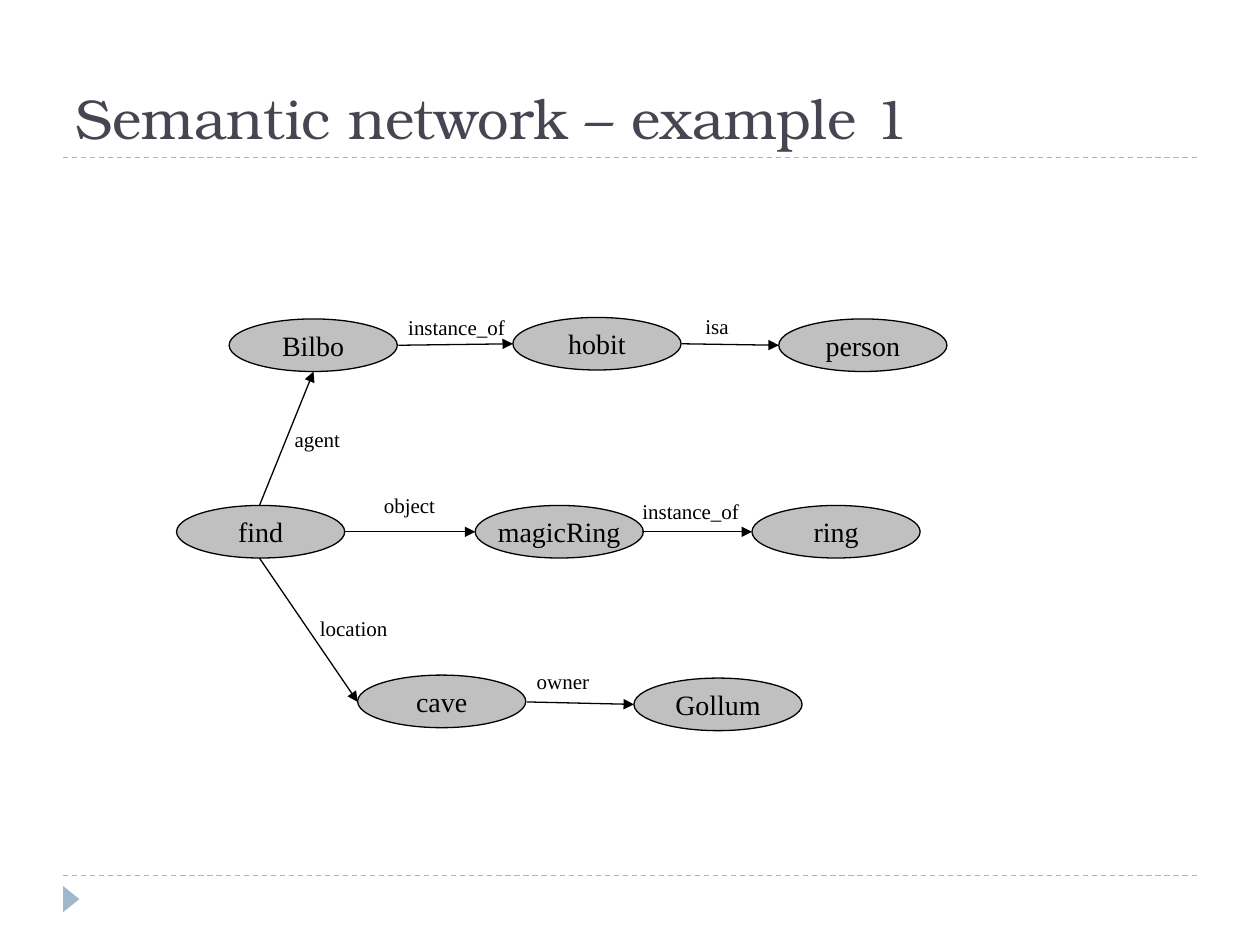
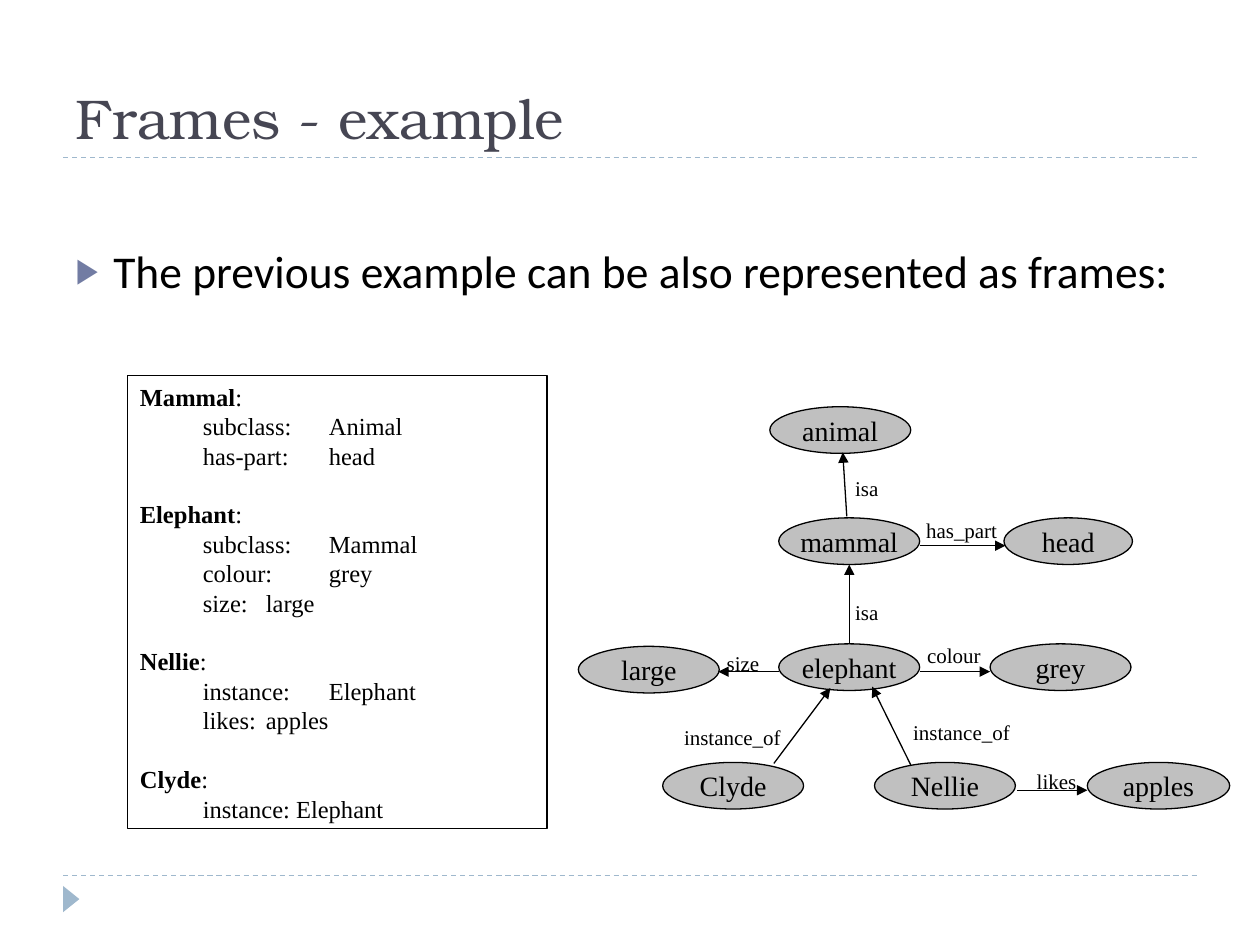
import pptx
import pptx.util
import pptx.dml.color
import pptx.enum.dml
import pptx.enum.shapes
import pptx.enum.text
import pptx.oxml.ns
import lxml.etree

Cm = pptx.util.Cm
Pt = pptx.util.Pt
RGBColor = pptx.dml.color.RGBColor
MSO_SHAPE = pptx.enum.shapes.MSO_SHAPE
MSO_ANCHOR = pptx.enum.text.MSO_ANCHOR
MSO_AUTO_SIZE = pptx.enum.text.MSO_AUTO_SIZE
PP_ALIGN = pptx.enum.text.PP_ALIGN
qn = pptx.oxml.ns.qn

BLACK = RGBColor(0x00, 0x00, 0x00)
NODE_GREY = RGBColor(0xC0, 0xC0, 0xC0)
TITLE_SLATE = RGBColor(0x46, 0x46, 0x53)
BAND_BLUE = RGBColor(0x9F, 0xB8, 0xCD)
BULLET_BLUE = RGBColor(0x72, 0x7C, 0xA3)
TITLE_FONT = "TeX Gyre Bonum"
BODY_FONT = "Calibri"
DIAGRAM_FONT = "Times New Roman"
LINE_WIDTH = Pt(0.75)
LABEL_HEIGHT = 0.76


def add_run(paragraph, text, font, size, color=BLACK, bold=False):
    run = paragraph.add_run()
    run.text = text
    run.font.name = font
    run.font.size = Pt(size)
    run.font.color.rgb = color
    run.font.bold = bold


def add_line(canvas, x1, y1, x2, y2, color):
    line = canvas.add_connector(
        pptx.enum.shapes.MSO_CONNECTOR.STRAIGHT, Cm(x1), Cm(y1), Cm(x2), Cm(y2))
    line.line.color.rgb = color
    line.line.width = LINE_WIDTH
    lxml.etree.SubElement(line._element.spPr, qn("a:effectLst"))
    return line


prs = pptx.Presentation()
prs.slide_width = Cm(25.4)
prs.slide_height = Cm(19.05)
master = prs.slide_master
network_slide = prs.slides.add_slide(prs.slide_layouts.get_by_name("Title Only"))
frames_slide = prs.slides.add_slide(prs.slide_layouts.get_by_name("Title and Content"))

bands = []
for y in (17.65, 3.18):
    rule = add_line(network_slide.shapes, 1.27, y, 24.13, y, BAND_BLUE)
    rule.line.dash_style = pptx.enum.dml.MSO_LINE.DASH
    bands.append(rule)
marker = network_slide.shapes.add_shape(
    MSO_SHAPE.ISOSCELES_TRIANGLE, Cm(1.17), Cm(17.96), Cm(0.53), Cm(0.33))
marker.rotation = 90
marker.shadow.inherit = False
marker.fill.solid()
marker.fill.fore_color.rgb = BAND_BLUE
marker.line.fill.background()
bands.append(marker)
for number, band in enumerate(bands, start=20):
    band._element.xpath(".//p:cNvPr")[0].set("id", str(number))
    master.shapes.element.append(band._element)

for slide, heading in ((network_slide, "Semantic network – example 1"),
                       (frames_slide, "Frames - example")):
    title = slide.shapes.title
    title.left, title.top, title.width, title.height = Cm(1.27), Cm(0.43), Cm(22.86), Cm(2.74)
    title.text_frame.vertical_anchor = MSO_ANCHOR.BOTTOM
    title.text_frame.auto_size = MSO_AUTO_SIZE.NONE
    title_line = title.text_frame.paragraphs[0]
    title_line.alignment = PP_ALIGN.LEFT
    add_run(title_line, heading, TITLE_FONT, 32, TITLE_SLATE)

intro = frames_slide.placeholders[1]
intro.left, intro.top, intro.width, intro.height = Cm(1.27), Cm(4.78), Cm(22.86), Cm(3.07)
intro.text_frame.auto_size = MSO_AUTO_SIZE.NONE
intro_line = intro.text_frame.paragraphs[0]
intro_line.space_before = Pt(6)
add_run(intro_line, "The previous example can be also represented as frames:", BODY_FONT, 26)
bullet = intro_line._p.get_or_add_pPr()
bullet.set("marL", str(Cm(0.76)))
bullet.set("indent", str(-Cm(0.76)))
bullet_color = lxml.etree.SubElement(bullet, qn("a:buClr"))
lxml.etree.SubElement(bullet_color, qn("a:srgbClr"), val=str(BULLET_BLUE))
lxml.etree.SubElement(bullet, qn("a:buSzPct"), val="76000")
lxml.etree.SubElement(bullet, qn("a:buChar"), char="▶")

frames = [
    ("Mammal", ["subclass:\tAnimal", "has-part:\thead"]),
    ("Elephant", ["subclass:\tMammal", "colour:\tgrey", "size:\tlarge"]),
    ("Nellie", ["instance:\tElephant", "likes:\tapples"]),
    ("Clyde", ["instance: Elephant"]),
]
frame_box = frames_slide.shapes.add_textbox(Cm(2.57), Cm(7.57), Cm(8.46), Cm(9.14))
frame_box.line.color.rgb = BLACK
frame_box.line.width = LINE_WIDTH
frame_text = frame_box.text_frame
frame_text.word_wrap = True
for index, (frame_name, slots) in enumerate(frames):
    frame_line = frame_text.add_paragraph() if index else frame_text.paragraphs[0]
    frame_line.space_before = Pt(16.8 if index else 0)
    frame_line.line_spacing = Pt(16.8)
    add_run(frame_line, frame_name, DIAGRAM_FONT, 14, bold=True)
    add_run(frame_line, ":", DIAGRAM_FONT, 14)
    for slot in slots:
        slot_line = frame_text.add_paragraph()
        slot_line.line_spacing = Pt(16.8)
        add_run(slot_line, "\t" + slot, DIAGRAM_FONT, 14)

hobbit_nodes = [
    ("Bilbo", 4.62, 6.43, 3.39), ("hobit", 10.34, 6.4, 3.39), ("person", 15.7, 6.43, 3.39),
    ("find", 3.56, 10.19, 3.39), ("magicRing", 9.58, 10.19, 3.39), ("ring", 15.16, 10.19, 3.39),
    ("cave", 7.21, 13.61, 3.39), ("Gollum", 12.78, 13.67, 3.39),
]
hobbit_labels = [
    ("instance_of", 7.98, 6.22, 2.46), ("isa", 13.97, 6.2, 0.99),
    ("agent", 5.69, 8.48, 1.42), ("object", 7.49, 9.8, 1.55),
    ("instance_of", 12.7, 9.93, 2.46), ("location", 6.2, 12.29, 1.88),
    ("owner", 10.57, 13.36, 1.57),
]
hobbit_arrows = [
    (8.03, 6.96, 10.34, 6.93), (13.74, 6.93, 15.7, 6.96), (5.23, 10.19, 6.32, 7.49),
    (6.93, 10.72, 9.58, 10.72), (12.95, 10.72, 15.16, 10.72),
    (5.23, 11.25, 7.21, 14.15), (10.62, 14.15, 12.78, 14.2),
]
elephant_nodes = [
    ("animal", 15.52, 8.2, 2.84), ("mammal", 15.7, 10.44, 2.84), ("head", 20.24, 10.44, 2.59),
    ("large", 11.66, 13.03, 2.84), ("elephant", 15.7, 12.98, 2.84), ("grey", 19.96, 12.98, 2.84),
    ("Clyde", 13.36, 15.37, 2.84), ("Nellie", 17.63, 15.37, 2.84), ("apples", 21.92, 15.37, 2.87),
]
elephant_labels = [
    ("isa", 16.99, 9.47, 0.99), ("isa", 16.99, 11.96, 0.99), ("has_part", 18.42, 10.31, 1.96),
    ("size", 14.4, 12.98, 1.17), ("colour", 18.44, 12.83, 1.65),
    ("instance_of", 13.54, 14.48, 2.46), ("instance_of", 18.16, 14.38, 2.46),
    ("likes", 20.65, 15.37, 1.32),
]
elephant_arrows = [
    (17.07, 10.41, 16.99, 9.12), (17.12, 12.98, 17.12, 11.38), (18.54, 11, 20.27, 11),
    (15.7, 13.54, 14.48, 13.54), (18.54, 13.54, 19.96, 13.54),
    (15.6, 15.39, 16.74, 13.87), (18.36, 15.42, 17.58, 13.84), (20.5, 15.93, 21.92, 15.93),
]
elephant_group = frames_slide.shapes.add_group_shape()

for canvas, node_height, nodes, labels, arrows in (
        (network_slide.shapes, 1.06, hobbit_nodes, hobbit_labels, hobbit_arrows),
        (elephant_group.shapes, 0.94, elephant_nodes, elephant_labels, elephant_arrows)):
    for concept, left, top, width in nodes:
        node = canvas.add_shape(MSO_SHAPE.OVAL, Cm(left), Cm(top), Cm(width), Cm(node_height))
        node.shadow.inherit = False
        node.fill.solid()
        node.fill.fore_color.rgb = NODE_GREY
        node.line.color.rgb = BLACK
        node.line.width = LINE_WIDTH
        node.text_frame.word_wrap = False
        node.text_frame.vertical_anchor = MSO_ANCHOR.MIDDLE
        concept_line = node.text_frame.paragraphs[0]
        concept_line.alignment = PP_ALIGN.CENTER
        add_run(concept_line, concept, DIAGRAM_FONT, 16)
    for relation, left, top, width in labels:
        label = canvas.add_textbox(Cm(left), Cm(top), Cm(width), Cm(LABEL_HEIGHT))
        label.text_frame.word_wrap = False
        label.text_frame.auto_size = MSO_AUTO_SIZE.SHAPE_TO_FIT_TEXT
        add_run(label.text_frame.paragraphs[0], relation, DIAGRAM_FONT, 12)
    for ends in arrows:
        arrow = add_line(canvas, *ends, BLACK)
        lxml.etree.SubElement(arrow.line._get_or_add_ln(), qn("a:tailEnd"), type="triangle")

prs.save("out.pptx")
